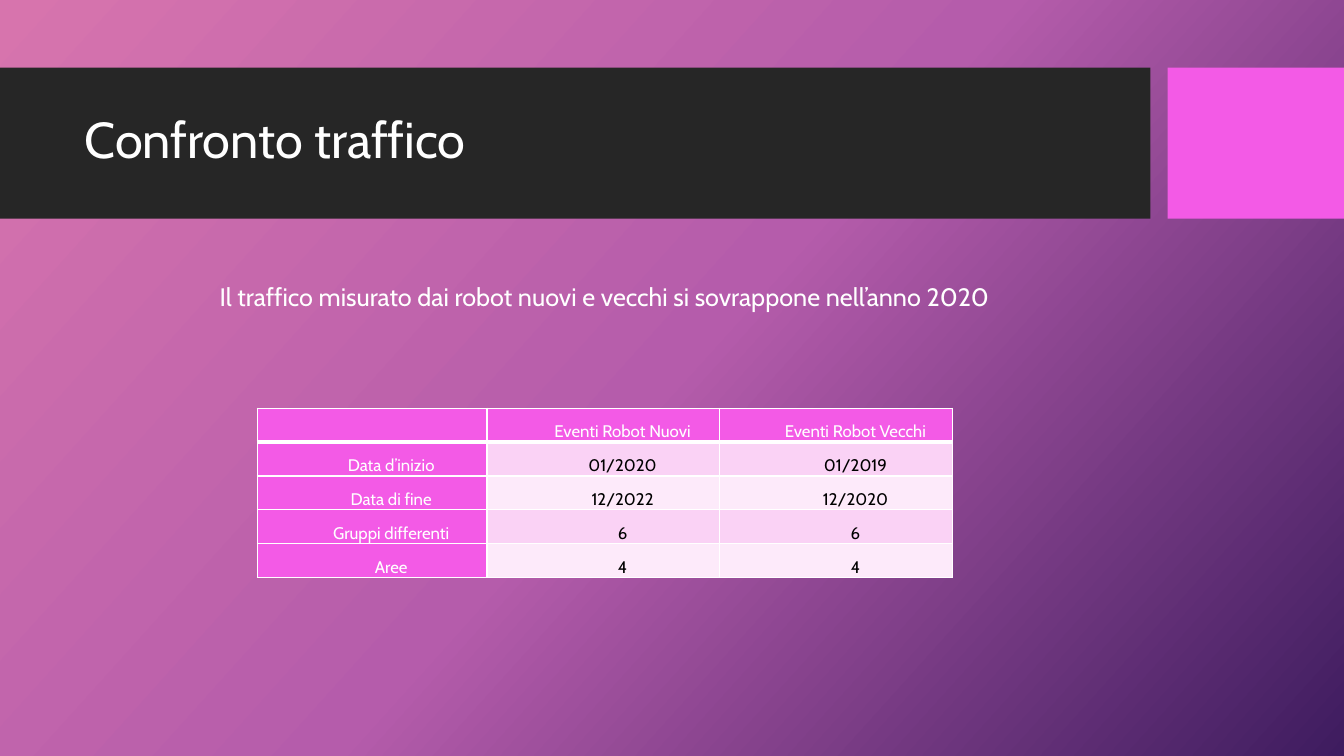
from copy import deepcopy
from dataclasses import dataclass

from lxml import etree
from pptx import Presentation
from pptx.dml.color import RGBColor
from pptx.enum.shapes import MSO_SHAPE
from pptx.enum.text import MSO_ANCHOR, MSO_AUTO_SIZE, PP_ALIGN
from pptx.oxml.ns import qn
from pptx.util import Inches, Pt

RECTANGLE = MSO_SHAPE.RECTANGLE
MIDDLE = MSO_ANCHOR.MIDDLE
GROW = MSO_AUTO_SIZE.SHAPE_TO_FIT_TEXT
NO_FIT = MSO_AUTO_SIZE.NONE
LEFT, CENTER = PP_ALIGN.LEFT, PP_ALIGN.CENTER
TITLE_ONLY = 5

TITLE = "Confronto traffico"
SUMMARY = "Il traffico misurato dai robot nuovi e vecchi si sovrappone nell’anno 2020"
TRAFFIC_ROWS = [
    ("", "Eventi Robot Nuovi", "Eventi Robot Vecchi"),
    ("Data d’inizio", "01/2020", "01/2019"),
    ("Data di fine", "12/2022", "12/2020"),
    ("Gruppi differenti", "6", "6"),
    ("Aree", "4", "4"),
]


@dataclass(frozen=True)
class Theme:
    font: str = "Cabin"
    light: str = "FFFFFF"
    dark: str = "000000"
    band: str = "262626"
    accent: str = "F35AE6"
    stripes: tuple = ("FDEAFA", "FAD2F5")
    gradient: tuple = ((0, "D774AD"), (0.5, "B55CAB"), (1, "3E1C5F"))
    gradient_angle: int = 318
    title_size: int = 36
    summary_size: int = 18
    cell_size: int = 12
    border: int = 1
    header_border: int = 3


THEME = Theme()

SLIDE_WIDTH, SLIDE_HEIGHT = 13.33, 7.5
BAND_TOP, BAND_HEIGHT = 0.67, 1.5
BAND_WIDTH, ACCENT_LEFT = 11.41, 11.58
TITLE_BOX = (0.74, 0.82, 10.51, 1.18)
SUMMARY_BOX = (1.79, 2.74, 8.41, 0.71)
TABLE_LEFT, TABLE_TOP, TABLE_HEIGHT = 2.55, 4.05, 1.68
COLUMN_WIDTHS = (2.28, 2.31, 2.31)
CELL_MARGIN, CELL_INDENT, CELL_LEADING = 0.07, 0.38, 24


def write(text_frame, text, size, color, alignment):
    text_frame.text = text
    paragraph = text_frame.paragraphs[0]
    paragraph.alignment = alignment
    for run in paragraph.runs:
        run.font.name = THEME.font
        run.font.size = Pt(size)
        run.font.color.rgb = RGBColor.from_string(color)
    return paragraph


def paint_background(slide):
    fill = slide.background.fill
    fill.gradient()
    fill.gradient_angle = THEME.gradient_angle
    stop_list = slide.element.find(".//" + qn("a:gsLst"))
    stop_list.append(deepcopy(stop_list[-1]))
    for stop, (position, color) in zip(fill.gradient_stops, THEME.gradient):
        stop.position = position
        stop.color.rgb = RGBColor.from_string(color)


def add_band(slide, left, width, color):
    shape = slide.shapes.add_shape(
        RECTANGLE, Inches(left), Inches(BAND_TOP), Inches(width), Inches(BAND_HEIGHT)
    )
    shape.shadow.inherit = False
    shape.fill.solid()
    shape.fill.fore_color.rgb = RGBColor.from_string(color)
    shape.line.fill.background()


def add_title(slide):
    title = slide.shapes.title
    title.left, title.top, title.width, title.height = map(Inches, TITLE_BOX)
    slide.shapes.element.append(title.element)
    text_frame = title.text_frame
    text_frame.auto_size = NO_FIT
    text_frame.vertical_anchor = MIDDLE
    paragraph = write(text_frame, TITLE, THEME.title_size, THEME.light, LEFT)
    paragraph.line_spacing = 0.9


def set_borders(cell, bottom_width):
    properties = cell._tc.get_or_add_tcPr()
    widths = {"lnL": THEME.border, "lnR": THEME.border, "lnT": THEME.border, "lnB": bottom_width}
    for index, (tag, width) in enumerate(widths.items()):
        line = etree.Element(qn("a:" + tag), w=str(Pt(width)))
        fill = etree.SubElement(line, qn("a:solidFill"))
        etree.SubElement(fill, qn("a:srgbClr"), val=THEME.light)
        properties.insert(index, line)


def format_cell(cell, text, row, column):
    heading = row == 0 or column == 0
    cell.margin_left = cell.margin_right = Inches(CELL_MARGIN)
    cell.margin_top = cell.margin_bottom = 0
    color = THEME.light if heading else THEME.dark
    paragraph = write(cell.text_frame, text, THEME.cell_size, color, CENTER)
    paragraph.line_spacing = Pt(CELL_LEADING)
    properties = paragraph._p.get_or_add_pPr()
    properties.set("marL", str(Inches(CELL_INDENT)))
    properties.set("indent", "0")
    for run in paragraph.runs:
        run.font.bold = False
    cell.fill.solid()
    fill_color = THEME.accent if heading else THEME.stripes[row % 2]
    cell.fill.fore_color.rgb = RGBColor.from_string(fill_color)
    set_borders(cell, THEME.header_border if row == 0 else THEME.border)


def add_traffic_table(slide):
    table = slide.shapes.add_table(
        len(TRAFFIC_ROWS), len(COLUMN_WIDTHS), Inches(TABLE_LEFT), Inches(TABLE_TOP),
        Inches(sum(COLUMN_WIDTHS)), Inches(TABLE_HEIGHT),
    ).table
    for column, width in zip(table.columns, COLUMN_WIDTHS):
        column.width = Inches(width)
    for row, texts in enumerate(TRAFFIC_ROWS):
        for column, text in enumerate(texts):
            format_cell(table.cell(row, column), text, row, column)


def add_summary(slide):
    text_frame = slide.shapes.add_textbox(*map(Inches, SUMMARY_BOX)).text_frame
    text_frame.word_wrap = False
    text_frame.auto_size = GROW
    write(text_frame, SUMMARY, THEME.summary_size, THEME.light, CENTER)


def main():
    presentation = Presentation()
    presentation.slide_width = Inches(SLIDE_WIDTH)
    presentation.slide_height = Inches(SLIDE_HEIGHT)
    slide = presentation.slides.add_slide(presentation.slide_layouts[TITLE_ONLY])
    paint_background(slide)
    add_band(slide, 0, BAND_WIDTH, THEME.band)
    add_band(slide, ACCENT_LEFT, SLIDE_WIDTH - ACCENT_LEFT, THEME.accent)
    add_title(slide)
    add_traffic_table(slide)
    add_summary(slide)
    presentation.save("out.pptx")


if __name__ == "__main__":
    main()
